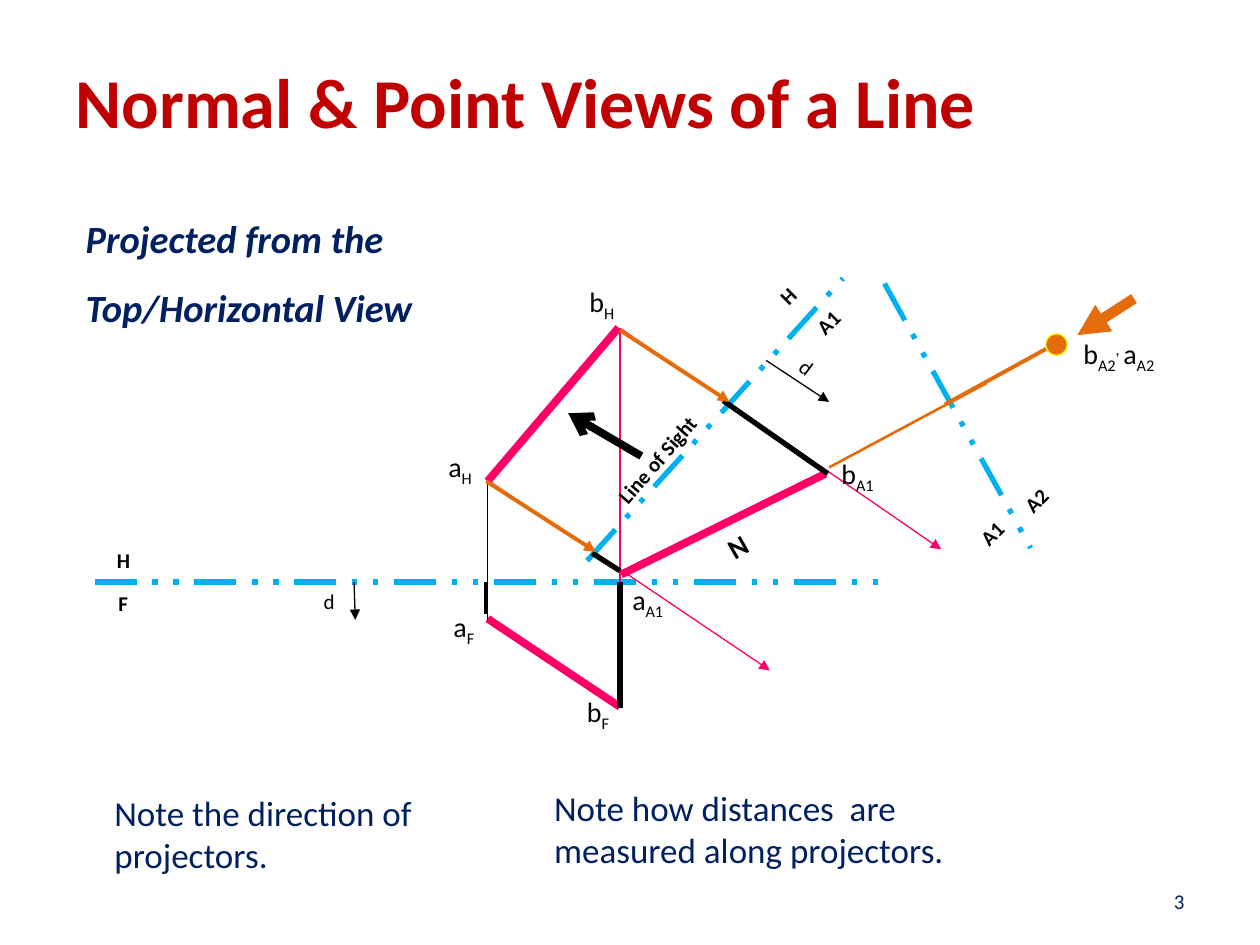
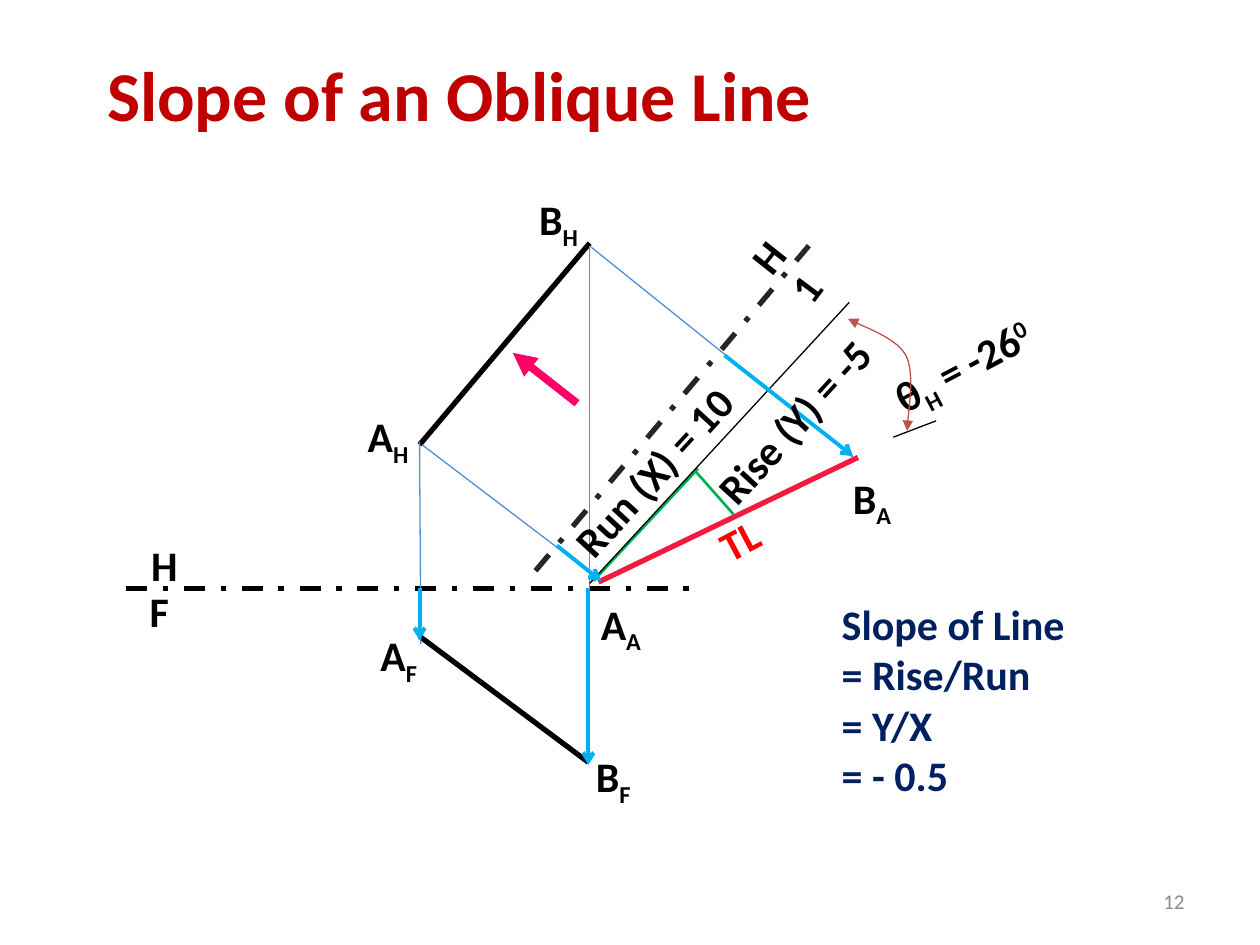
from lxml import etree
from pptx import Presentation
from pptx.dml.color import RGBColor
from pptx.enum.dml import MSO_LINE
from pptx.enum.shapes import MSO_CONNECTOR, MSO_SHAPE
from pptx.enum.text import MSO_ANCHOR, MSO_AUTO_SIZE, PP_ALIGN
from pptx.oxml.ns import qn
from pptx.util import Inches, Pt

STRAIGHT = MSO_CONNECTOR.STRAIGHT
OVAL = MSO_SHAPE.OVAL
LONG, SHORT = MSO_LINE.DASH_DOT_DOT, MSO_LINE.DASH_DOT
MIDDLE, BOTTOM, TOP = MSO_ANCHOR.MIDDLE, MSO_ANCHOR.BOTTOM, MSO_ANCHOR.TOP
LEFT, RIGHT, JUST = PP_ALIGN.LEFT, PP_ALIGN.RIGHT, PP_ALIGN.JUSTIFY
FIXED = MSO_AUTO_SIZE.NONE

WIDE, HIGH = Inches(10), Inches(7.5)
CELL = WIDE / 100
COLORS = {
    "title": "C00000", "navy": "002060", "black": "000000", "gray": "8C8C8C",
    "soot": "262626", "cyan": "00B0F0", "pink": "FF0066", "orange": "E46C0A",
    "yellow": "FFFF00", "crimson": "F11B3F", "red": "FF0000", "green": "00B050",
    "blue": "558ED5", "brick": "C0504D",
}
LINES = {
    "fold": ("cyan", 3, LONG, None),
    "edge": ("pink", 4.5, None, None),
    "ray": ("pink", 0.75, None, None),
    "dart": ("pink", 0.75, None, "triangle"),
    "hair": ("black", 0.75, None, None),
    "gauge": ("black", 0.75, None, "triangle"),
    "stub": ("black", 2.25, None, None),
    "bar": ("black", 3, None, None),
    "sight": ("black", 4.5, None, "arrow"),
    "beam": ("orange", 1.5, None, None),
    "link": ("orange", 2.25, None, None),
    "cast": ("orange", 2.25, None, "triangle"),
    "look": ("orange", 6, None, "triangle"),
    "axis": ("black", 3, SHORT, None),
    "tilt": ("soot", 3, SHORT, None),
    "true": ("crimson", 3, None, None),
    "leg": ("green", 1.5, None, None),
    "thin": ("blue", 0.75, None, None),
    "shift": ("cyan", 2.25, None, "arrow"),
    "view": ("pink", 4.5, None, "triangle"),
    "arc": ("brick", 0.75, None, "triangle"),
}
FONTS = {
    "title": ("title", {"size": Pt(40), "bold": True}),
    "lead": ("navy", {"size": Pt(22), "bold": True, "italic": True}),
    "sum": ("navy", {"size": Pt(24), "bold": True}),
    "note": ("navy", {"size": Pt(20)}),
    "page": ("navy", {"size": Pt(12)}),
    "faint": ("gray", {"size": Pt(12)}),
    "tag": ("black", {"size": Pt(12), "bold": True}),
    "dist": ("black", {"size": Pt(12)}),
    "point": ("black", {"size": Pt(16)}),
    "norm": ("black", {"size": Pt(16), "bold": True}),
    "big": ("black", {"size": Pt(24), "bold": True}),
    "hot": ("red", {"size": Pt(24), "bold": True}),
}
SHIFTS = {"_": "-25000", "^": "30000"}

VIEW_LINES = [
    ("fold", 7.5, 26.2, 70, 26.2),
    ("edge", 38.7, 18.2, 49.1, 6),
    ("edge", 38.7, 29.1, 49.2, 36.1),
    ("hair", 38.7, 29.2, 38.7, 18.2),
    ("ray", 49.2, 6, 49.2, 36),
    ("dart", 38.7, 18.1, 61.1, 33.2),
    ("edge", 49.3, 25.6, 65.5, 17.6),
    ("dart", 49.3, 6.1, 74.7, 23.6),
    ("fold", 46.6, 24.5, 66.9, 2.1),
    ("gauge", 28.1, 26.2, 28.2, 29.2),
    ("gauge", 60.8, 8.6, 65.8, 11.9),
    ("stub", 38.6, 26.2, 38.6, 28.7),
    ("bar", 47, 23.9, 49.2, 25.3),
    ("bar", 49.2, 26.2, 49.2, 36.2),
    ("bar", 57.4, 11.8, 65.7, 17.6),
    ("sight", 50.9, 16.2, 45.1, 12.8),
    ("beam", 65.8, 17.1, 78.3, 10.4),
    ("fold", 70.2, 2.5, 81.8, 23.5),
    ("cast", 49.2, 6.2, 57.9, 11.9),
    ("cast", 38.6, 18.2, 47.3, 23.8),
    ("link", 75, 12.1, 84.1, 7.1),
    ("look", 90, 3.7, 85.5, 6.6),
]
VIEW_TAGS = [
    ("tag", 8.4, 26.4, 2.8, 0, ["F"]),
    ("tag", 8.3, 23, 3.1, 0, ["H"]),
    ("point", 45.8, 2.1, 4.1, 0, ["b", "_H"]),
    ("point", 45.6, 34.6, 3.9, 0, ["b", "_F"]),
    ("point", 34.6, 15.2, 4, 0, ["a", "_H"]),
    ("point", 35, 27.9, 3.8, 0, ["a", "_F"]),
    ("dist", 62.6, 7.7, 2.9, 37, ["d"]),
    ("dist", 24.7, 26.2, 2.9, 0, ["d"]),
    ("norm", 56.8, 21.5, 3.5, 330.2, ["N"]),
    ("tag", 61, 2, 3.1, 315, ["H"]),
    ("point", 49.2, 25.7, 4.7, 0, ["a", "_A1"]),
    ("point", 65.8, 15.7, 4.8, 0, ["b", "_A1"]),
    ("tag", 63.8, 4.1, 3.9, 315, ["A1"]),
    ("tag", 46.9, 14.9, 10.6, 311.1, ["Line of Sight"]),
    ("tag", 80.3, 18.2, 3.9, 315, ["A2"]),
    ("tag", 76.8, 20.8, 3.9, 315, ["A1"]),
    ("point", 85, 6.2, 8.2, 0, ["b", "_A2", "^, ", "a", "_A2"]),
]
SLOPE_LINES = [
    ("axis", 10, 31.7, 55, 31.7),
    ("tilt", 42.5, 30.3, 64.2, 4.5),
    ("bar", 33.3, 35.5, 46.7, 45.5),
    ("bar", 33.3, 20.3, 46.8, 4.3),
    ("true", 47.5, 31.2, 68.1, 21.3),
    ("leg", 47.1, 31.1, 55.4, 22.2),
    ("leg", 55.2, 22.4, 58.2, 25.8),
    ("thin", 33.3, 20.1, 33.4, 36.1),
    ("thin", 46.8, 4.5, 46.8, 45.3),
    ("thin", 46.9, 4.6, 67.7, 21.3),
    ("thin", 33.5, 20.3, 47.7, 31.1),
    ("hair", 46.8, 31.3, 67.4, 9),
    ("view", 45.8, 17, 40.7, 13),
    ("hair", 70.9, 19.7, 74.3, 18.4),
    ("shift", 33.3, 31.7, 33.3, 35.8),
    ("shift", 46.7, 31.7, 46.7, 45.7),
    ("shift", 44.2, 28.3, 47.7, 31.1),
    ("shift", 57.5, 13.2, 67.7, 21.2),
]
SLOPE_TAGS = [
    ("big", 10.9, 31, 3.6, 0, ["F"]),
    ("big", 11, 27.3, 4.1, 0, ["H"]),
    ("big", 29.2, 34.5, 5.1, 0, ["A", "_F"]),
    ("big", 46.3, 44.1, 4.9, 0, ["B", "_F"]),
    ("big", 28.2, 17.1, 5.5, 0, ["A", "_H"]),
    ("big", 41.8, -0.1, 5.3, 0, ["B", "_H"]),
    ("big", 46.7, 32, 5.4, 0, ["A", "_A"]),
    ("big", 66.7, 22, 5.2, 0, ["B", "_A"]),
    ("big", 58.9, 2.9, 4.1, 308.4, ["H"]),
    ("big", 62.1, 5.3, 3.7, 306.8, ["1"]),
    ("big", 42.5, 19.9, 18.8, 312.5, ["Run (X) = 10"]),
    ("hot", 56.2, 25.3, 5.1, 332.2, ["TL"]),
    ("big", 69.6, 11.4, 14, 332.2, ["θ", "_H", " = -26", "^0"]),
    ("big", 53.9, 15.9, 18.3, 312.5, ["Rise (Y) = -5"]),
]
BENDS = [
    [(67.3, 10.3), (68.1, 10.8), (71.1, 11.7), (71.9, 13.2)],
    [(71.9, 13.2), (72.7, 14.7), (72, 18), (72, 19.2)],
]


def tint(name):
    """Return a named colour."""
    return RGBColor.from_string(COLORS[name])


def grid(*cells):
    """Turn grid cells into lengths."""
    return [round(cell * CELL) for cell in cells]


def style(font, kind):
    """Give a font the values of its kind."""
    color, values = FONTS[kind]
    for name, value in {"name": "Calibri", **values}.items():
        setattr(font, name, value)
    font.color.rgb = tint(color)


def pen(shape, kind, ends=("tailEnd",)):
    """Give a line its colour, width, dash and arrowheads."""
    color, width, dash, tip = LINES[kind]
    line = shape.line
    line.color.rgb = tint(color)
    line.width = Pt(width)
    if dash:
        line.dash_style = dash
    for end in ends if tip else ():
        etree.SubElement(line._get_or_add_ln(), qn(f"a:{end}"), type=tip)


def stroke(slide, box, kind, x1, y1, x2, y2):
    """Draw one straight line inside a box."""
    left, top = box
    ends = grid(left + x1, top + y1, left + x2, top + y2)
    line = slide.shapes.add_connector(STRAIGHT, *ends)
    pen(line, kind)
    etree.SubElement(line._element.spPr, qn("a:effectLst"))


def label(slide, box, kind, x, y, width, turn, parts):
    """Write one label, with low and high parts, inside a box."""
    left, top = box
    high = FONTS[kind][1]["size"].pt / 6 + 1
    shape = slide.shapes.add_textbox(*grid(left + x, top + y, width, high))
    shape.rotation = turn
    shape.text_frame.word_wrap = False
    para = shape.text_frame.paragraphs[0]
    for part in parts:
        shift = SHIFTS.get(part[0])
        run = para.add_run()
        run.text = part[1:] if shift else part
        style(run.font, kind)
        if shift:
            run._r.get_or_add_rPr().set("baseline", shift)


def draw(slide, box, lines, tags):
    """Draw the lines and labels of a figure."""
    for line in lines:
        stroke(slide, box, *line)
    for tag in tags:
        label(slide, box, *tag)


def write(shape, box, kind, rows, anchor=TOP, align=LEFT, space=1):
    """Place a text shape and fill in its rows."""
    shape.left, shape.top, shape.width, shape.height = grid(*box)
    frame = shape.text_frame
    frame.word_wrap = True
    frame.auto_size = FIXED
    frame.vertical_anchor = anchor
    frame.text = "\n".join(rows)
    for para in frame.paragraphs:
        props = para._p.get_or_add_pPr()
        props.set("marL", "0")
        props.set("indent", "0")
        para.alignment = align
        para.line_spacing = space
        para.space_before = Pt(0)
        etree.SubElement(props, qn("a:buNone"))
        for run in para.runs:
            style(run.font, kind)


def note(slide, box, kind, text, **form):
    """Add a wrapped text box."""
    write(slide.shapes.add_textbox(0, 0, 0, 0), box, kind, [text], **form)


def start(deck, title, box, page, kind):
    """Add a slide with its title and page number."""
    slide = deck.slides.add_slide(deck.slide_layouts[1])
    write(slide.shapes.title, box, "title", [title], anchor=MIDDLE)
    note(slide, (71.7, 69.5, 23.3, 4), kind, page, anchor=MIDDLE, align=RIGHT)
    return slide


def dot(slide, box, x, y, size):
    """Draw the point view of the line."""
    left, top = box
    shape = slide.shapes.add_shape(OVAL, *grid(left + x, top + y, size, size))
    shape.shadow.inherit = False
    shape.fill.solid()
    shape.fill.fore_color.rgb = tint("orange")
    shape.line.color.rgb = tint("yellow")
    shape.line.width = Pt(0.75)


def bend(a, b, c, d, t):
    """Return the place at share t of a cubic curve."""
    s = 1 - t
    return [s**3 * p + 3 * s * s * t * q + 3 * s * t * t * r + t**3 * u
            for p, q, r, u in zip(a, b, c, d)]


def arc(slide, box, steps=10):
    """Draw the angle arc with a head at each end."""
    left, top = box
    spots = [BENDS[0][0]]
    spots += [bend(*part, i / steps) for part in BENDS for i in range(1, steps + 1)]
    spots = [grid(left + x, top + y) for x, y in spots]
    path = slide.shapes.build_freeform(*spots[0])
    path.add_line_segments(spots[1:], close=False)
    shape = path.convert_to_shape()
    shape.shadow.inherit = False
    shape.fill.background()
    pen(shape, "arc", ("headEnd", "tailEnd"))


def views(deck, box):
    """Build the slide on normal and point views."""
    slide = start(deck, "Normal & Point Views of a Line", (5, 1.7, 79.1, 12.5), "3", "page")
    write(slide.placeholders[1], (5.8, 16.8, 28.8, 9.9), "lead",
          ["Projected from the Top/Horizontal View"], anchor=BOTTOM, space=1.5)
    draw(slide, box, VIEW_LINES, VIEW_TAGS)
    dot(slide, box, 83, 6.5, 1.7)
    note(slide, (8.1, 62.3, 26.7, 7.7), "note", "Note the direction of projectors.")
    note(slide, (43, 61.9, 33.3, 7.7), "note",
         "Note how distances  are measured along projectors.")


def slope(deck, box):
    """Build the slide on the slope of a line."""
    slide = start(deck, "Slope of an Oblique Line", (7.5, 3.1, 92.5, 8.6), "12", "faint")
    write(slide.placeholders[1], (65.8, 47, 30, 17.2), "sum",
          ["Slope of Line", "= Rise/Run", "= Y/X", "= - 0.5"], align=JUST)
    draw(slide, box, SLOPE_LINES, SLOPE_TAGS)
    arc(slide, box)


def main():
    """Build and save the deck."""
    deck = Presentation()
    deck.slide_width, deck.slide_height = WIDE, HIGH
    views(deck, (0, 20))
    slope(deck, (0, 15))
    deck.save("out.pptx")


if __name__ == "__main__":
    main()
